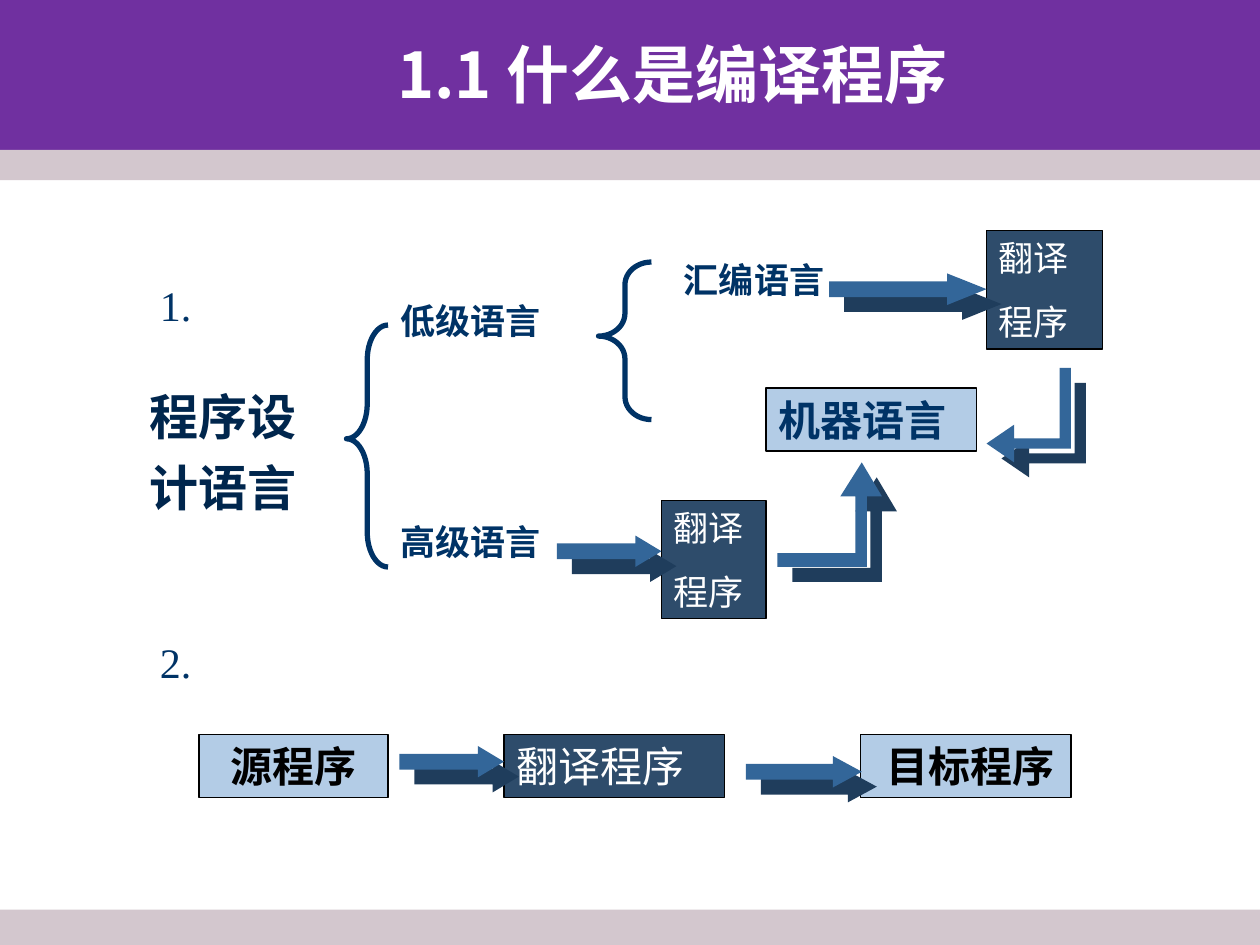
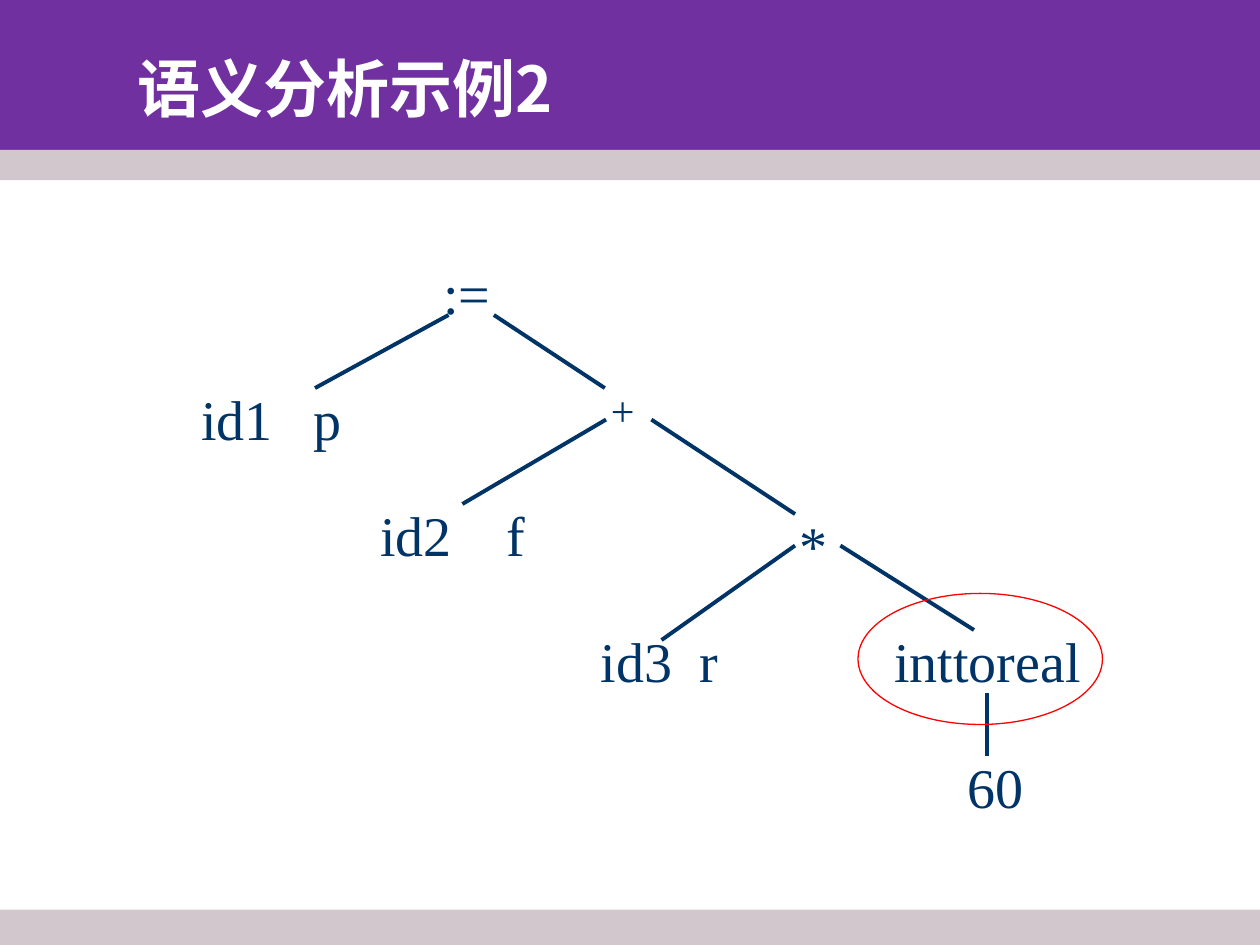
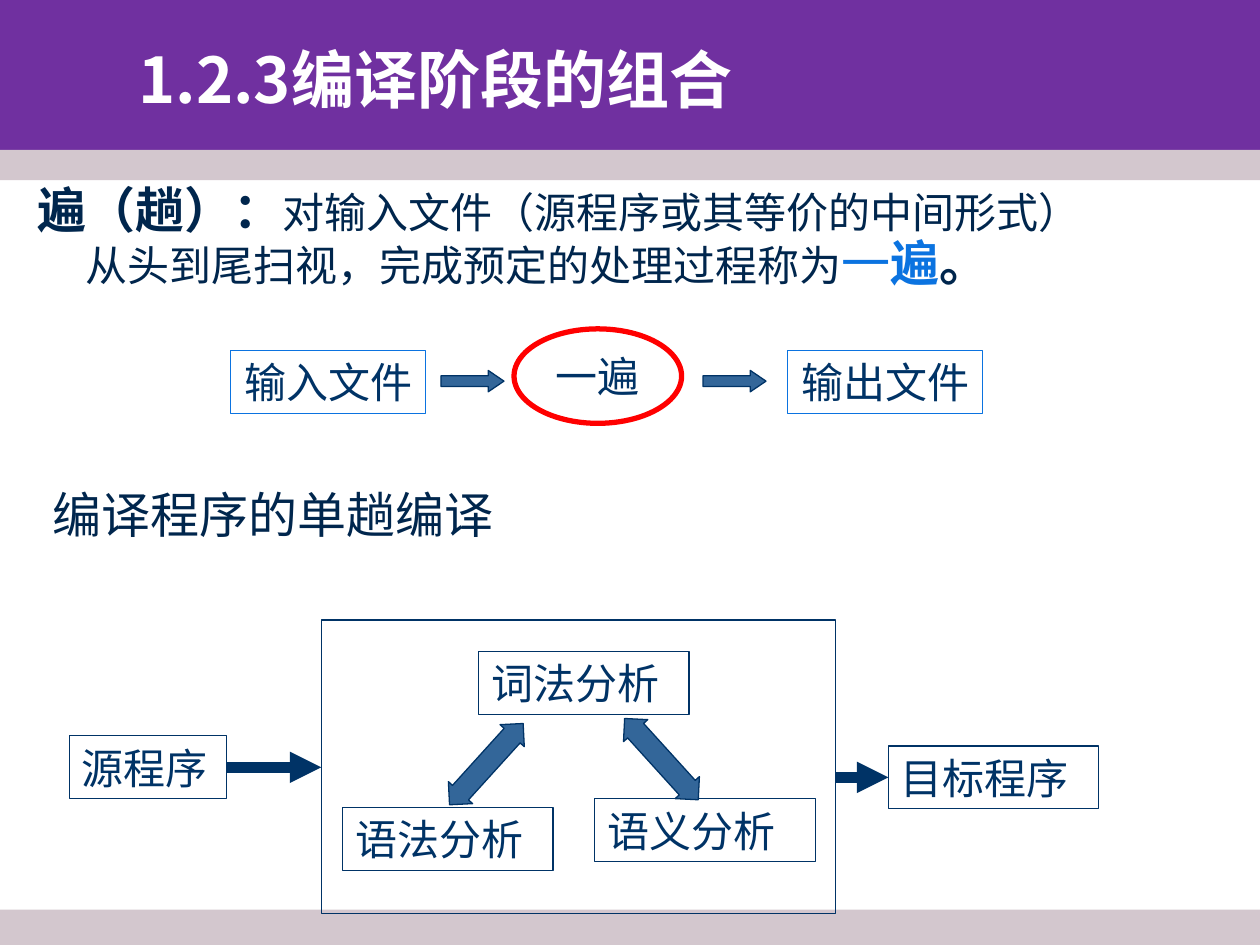
import lxml.etree
import pptx
import pptx.dml.color
import pptx.enum.shapes
import pptx.enum.text
import pptx.oxml.ns
import pptx.util

Inches = pptx.util.Inches
Pt = pptx.util.Pt
RGBColor = pptx.dml.color.RGBColor
qn = pptx.oxml.ns.qn
SHAPE = pptx.enum.shapes.MSO_SHAPE
ALIGN = pptx.enum.text.PP_ALIGN
ANCHOR = pptx.enum.text.MSO_ANCHOR

PURPLE = RGBColor(0x70, 0x30, 0xA0)
MAUVE = RGBColor(0xD3, 0xC7, 0xCE)
WHITE = RGBColor(0xFF, 0xFF, 0xFF)
BLACK = RGBColor(0x00, 0x00, 0x00)
NAVY = RGBColor(0x00, 0x33, 0x66)
DARK_NAVY = RGBColor(0x00, 0x26, 0x4D)
SLATE = RGBColor(0x2E, 0x4C, 0x6B)
PALE_BLUE = RGBColor(0xB3, 0xCC, 0xE6)
ARROW_BLUE = RGBColor(0x33, 0x66, 0x99)
ARROW_SHADOW = RGBColor(0x1F, 0x3D, 0x5C)
BRIGHT_BLUE = RGBColor(0x0B, 0x73, 0xE0)
RED = RGBColor(0xFF, 0x00, 0x00)

SERIF = "Times New Roman"
SANS = "Arial"
CHINESE = "Noto Sans CJK SC"

TITLE_LAYOUT = 5
BODY_LAYOUT = 1


# Text
def style_run(run, size, color, font, bold=False):
    run.font.size = Pt(size)
    run.font.bold = bold
    run.font.color.rgb = color
    run.font.name = font
    properties = run._r.get_or_add_rPr()
    lxml.etree.SubElement(properties, qn("a:ea"), typeface=CHINESE)


def write_lines(text_frame, text, size, color, font=SERIF, bold=False,
                align=ALIGN.LEFT, anchor=ANCHOR.TOP, space_before=None):
    """Write one paragraph a line; the space before grows with the text size."""
    text_frame.text = text
    text_frame.word_wrap = True
    text_frame.auto_size = pptx.enum.text.MSO_AUTO_SIZE.NONE
    text_frame.vertical_anchor = anchor
    if space_before is None:
        space_before = size * 0.625
    for paragraph in text_frame.paragraphs:
        paragraph.alignment = align
        paragraph.space_before = Pt(space_before)
        for run in paragraph.runs:
            style_run(run, size, color, font, bold)


def place(shape, left, top, width, height):
    shape.left, shape.top = Inches(left), Inches(top)
    shape.width, shape.height = Inches(width), Inches(height)


def add_label(slide, text, left, top, width, height, size,
              tab_stop=None, **style):
    box = slide.shapes.add_textbox(
        Inches(left), Inches(top), Inches(width), Inches(height))
    write_lines(box.text_frame, text, size, style.pop("color", NAVY), **style)
    if tab_stop:
        properties = box.text_frame.paragraphs[0]._p.get_or_add_pPr()
        tabs = lxml.etree.SubElement(properties, qn("a:tabLst"))
        lxml.etree.SubElement(
            tabs, qn("a:tab"), pos=str(Inches(tab_stop)), algn="l")


def add_title(slide, text, left, top, align=ALIGN.LEFT):
    title = slide.shapes.title
    place(title, left, top, 8.93, 0.83)
    write_lines(title.text_frame, text, 36, WHITE, CHINESE, True,
                align, ANCHOR.MIDDLE, 0)


def hang_body_paragraph(paragraph):
    properties = paragraph._p.get_or_add_pPr()
    properties.set("marL", str(Inches(0.38)))
    properties.set("indent", str(Inches(-0.38)))
    lxml.etree.SubElement(properties, qn("a:buNone"))


# Shapes
def paint(shape, fill=None, line=None, line_width=0.75):
    shape.shadow.inherit = False
    if fill is None:
        shape.fill.background()
    else:
        shape.fill.solid()
        shape.fill.fore_color.rgb = fill
    if line is None:
        shape.line.fill.background()
    else:
        shape.line.color.rgb = line
        shape.line.width = Pt(line_width)


def add_figure(slide, kind, left, top, width, height, **look):
    shape = slide.shapes.add_shape(
        kind, Inches(left), Inches(top), Inches(width), Inches(height))
    paint(shape, **look)
    return shape


def add_box(slide, text, left, top, width, height=0.5, fill=None, line=BLACK,
            size=24, color=NAVY, **style):
    box = add_figure(slide, SHAPE.RECTANGLE, left, top, width, height,
                     fill=fill, line=line)
    write_lines(box.text_frame, text, size, color, **style)


def add_translator(slide, left, top, width):
    add_box(slide, "翻译\n程序", left, top, width, 0.94, SLATE,
            size=20, color=WHITE)


def add_brace(slide, left, top, width, height, curl):
    brace = add_figure(slide, SHAPE.LEFT_BRACE, left, top, width, height,
                       line=NAVY, line_width=3)
    brace.adjustments[0] = curl
    brace.adjustments[1] = 0.47


def drop_shadow(shape):
    effects = shape.element.spPr.find(qn("a:effectLst"))
    shadow = lxml.etree.SubElement(
        effects, qn("a:outerShdw"), blurRad="0", dist=str(Pt(12.1)),
        dir="2700000", algn="ctr", rotWithShape="0")
    lxml.etree.SubElement(shadow, qn("a:srgbClr"), val=str(ARROW_SHADOW))


def add_right_arrow(slide, left, top, width, height=0.25, line=None):
    """The head takes a quarter of the arrow's length."""
    arrow = add_figure(slide, SHAPE.RIGHT_ARROW, left, top, width, height,
                       fill=ARROW_BLUE, line=line)
    arrow.adjustments[1] = width / height / 4
    return arrow


def add_bent_arrow(slide, points):
    corners = [(Inches(x), Inches(y)) for x, y in points]
    builder = slide.shapes.build_freeform(*corners[0])
    builder.add_line_segments(corners[1:], close=True)
    arrow = builder.convert_to_shape()
    paint(arrow, fill=ARROW_BLUE)
    drop_shadow(arrow)


def add_double_arrow(slide, left, top, rotation):
    arrow = add_figure(slide, SHAPE.UP_DOWN_ARROW, left, top, 0.26, 0.87,
                       fill=ARROW_BLUE, line=NAVY)
    arrow.adjustments[1] = 0.66
    arrow.rotation = rotation


def add_line(slide, start, end, width, arrowhead=False):
    line = slide.shapes.add_connector(
        pptx.enum.shapes.MSO_CONNECTOR.STRAIGHT,
        *(Inches(length) for length in (*start, *end)))
    line.line.color.rgb = NAVY
    line.line.width = Pt(width)
    if arrowhead:
        lxml.etree.SubElement(
            line.line._get_or_add_ln(), qn("a:tailEnd"), type="triangle")
    lxml.etree.SubElement(line.element.spPr, qn("a:effectLst"))


# Shared background
def add_master_bands(presentation, slide):
    """Draw the bands on a slide, then move them behind the master's parts."""
    master_tree = presentation.slide_master.shapes.element
    bands = [(0, 1.31, PURPLE), (1.19, 0.24, MAUVE), (7.22, 0.28, MAUVE)]
    for index, (top, height, color) in enumerate(bands):
        band = add_figure(slide, SHAPE.RECTANGLE, 0, top, 10, height,
                          fill=color)
        band.element.nvSpPr.cNvPr.set("id", str(100 + index))
        master_tree.insert(2 + index, band.element)


# Slides
def build_translator_slide(slide):
    add_title(slide, "1.1 什么是编译程序", 0.87, 0.17, ALIGN.CENTER)
    body = slide.placeholders[1]
    place(body, 1.09, 3.02, 1.65, 1.19)
    write_lines(body.text_frame, "程序设\n计语言", 28, DARK_NAVY, SANS, True,
                space_before=7)
    for paragraph in body.text_frame.paragraphs:
        hang_body_paragraph(paragraph)

    # Language tree
    add_brace(slide, 2.75, 2.58, 0.33, 1.92, 0.84)
    add_brace(slide, 4.75, 2.08, 0.42, 1.25, 0.43)
    for text, left, top in [("低级语言", 3.08, 2.33), ("高级语言", 3.08, 4.08),
                            ("汇编语言", 5.33, 2)]:
        add_label(slide, text, left, top, 1.67, 0.44, 20, bold=True)
    add_box(slide, "机器语言", 6.08, 3.08, 1.67, fill=PALE_BLUE, bold=True)
    add_translator(slide, 5.25, 3.97, 0.83)
    add_translator(slide, 7.83, 1.83, 0.92)
    add_bent_arrow(slide, [
        (6.84, 3.67), (6.67, 3.94), (6.79, 3.94), (6.79, 4.39), (6.17, 4.39),
        (6.17, 4.5), (6.88, 4.5), (6.88, 3.94), (7, 3.94)])
    add_bent_arrow(slide, [
        (7.83, 3.52), (8.05, 3.37), (8.05, 3.48), (8.41, 3.48), (8.41, 2.92),
        (8.5, 2.92), (8.5, 3.56), (8.05, 3.56), (8.05, 3.67)])

    # Translation chain
    for text, top in [("1.", 2.17), ("2.", 5)]:
        add_label(slide, text, 1.17, top, 0.58, 0.5, 24)
    for text, left, width in [("源程序", 1.58, 1.5), (" 目标程序", 6.83, 1.67)]:
        add_box(slide, text, left, 5.83, width, fill=PALE_BLUE, color=BLACK,
                bold=True, align=ALIGN.CENTER)
    add_box(slide, "翻译程序", 4, 5.83, 1.75, fill=SLATE, color=WHITE)

    for left, top, width in [(4.42, 4.25, 0.83), (6.58, 2.17, 1.25),
                             (3.17, 5.92, 0.83), (5.92, 6, 0.92)]:
        drop_shadow(add_right_arrow(slide, left, top, width))


def build_syntax_tree_slide(slide):
    add_title(slide, "语义分析示例2", 0.99, 0.28)

    # Nodes: text, left, top, width, tab stop
    nodes = [
        (":=", 3.42, 2, 0.71, None),
        ("*", 6.25, 4, 0.71, None),
        ("id1\tp", 1.5, 3, 1.76, 0.89),
        ("id2\tf", 2.92, 3.92, 1.56, 1),
        ("id3\tr", 4.67, 4.92, 1.15, 0.78),
        ("inttoreal", 7, 4.92, 1.75, None),
        ("60", 7.58, 5.92, 0.67, None),
    ]
    for text, left, top, width, tab_stop in nodes:
        add_label(slide, text, left, top, width, 0.64, 32, tab_stop)
    add_label(slide, "+", 4.75, 3, 0.71, 0.5, 24)

    # Branches
    branches = [
        ((2.5, 3.08), (3.56, 2.5)), ((3.92, 2.5), (4.8, 3.08)),
        ((4.81, 3.33), (3.67, 4)), ((5.17, 3.33), (6.31, 4.08)),
        ((6.67, 4.33), (7.73, 5)), ((6.31, 4.33), (5.25, 5.08)),
        ((7.83, 5.5), (7.83, 6)),
    ]
    for start, end in branches:
        add_line(slide, start, end, 2.25)
    add_figure(slide, SHAPE.OVAL, 6.81, 4.71, 1.94, 1.04, line=RED)


def build_pass_slide(slide):
    add_title(slide, "1.2.3编译阶段的组合", 1, 0.21)

    # Definition
    body = slide.placeholders[1]
    place(body, 0.2, 1.43, 8.66, 2.44)
    write_lines(body.text_frame, "遍（趟）：", 28, DARK_NAVY, SANS, True,
                space_before=7)
    definition = body.text_frame.paragraphs[0]
    definition.line_spacing = 0.9
    hang_body_paragraph(definition)
    for text, size, color, font, bold in [
        ("对输入文件（源程序或其等价的中间形式）从头到尾扫视，完成预定的处理过程称为",
         24, DARK_NAVY, CHINESE, False),
        ("一", 28, BRIGHT_BLUE, SANS, False),
        ("遍", 28, BRIGHT_BLUE, SANS, True),
        ("。", 28, DARK_NAVY, SANS, True),
    ]:
        run = definition.add_run()
        run.text = text
        style_run(run, size, color, font, bold)

    # One pass from input to output
    for text, left in [("输入文件", 1.83), ("输出文件", 6.25)]:
        add_box(slide, text, left, 2.78, 1.55, line=BRIGHT_BLUE,
                align=ALIGN.CENTER, anchor=ANCHOR.MIDDLE)
    for left in (3.5, 5.58):
        add_right_arrow(slide, left, 2.94, 0.5, 0.17, line=NAVY)
    one_pass = add_figure(slide, SHAPE.OVAL, 4.08, 2.61, 1.33, 0.75,
                          line=RED, line_width=3)
    write_lines(one_pass.text_frame, "一遍", 24, NAVY, "DejaVu Sans",
                align=ALIGN.CENTER, anchor=ANCHOR.MIDDLE, space_before=0)
    one_pass.text_frame.word_wrap = False

    # Single-pass compiler
    add_label(slide, "编译程序的单趟编译", 0.32, 3.63, 8.93, 0.9, 28,
              color=DARK_NAVY, font=SANS, anchor=ANCHOR.MIDDLE, space_before=0)
    add_figure(slide, SHAPE.RECTANGLE, 2.55, 4.92, 4.08, 2.33, line=NAVY)
    for text, left, top, width in [
        ("源程序", 0.55, 5.84, 1.25),
        ("词法分析", 3.8, 5.17, 1.67),
        ("语法分析", 2.72, 6.41, 1.67),
        ("语义分析", 4.72, 6.34, 1.75),
        ("目标程序", 7.05, 5.92, 1.67),
    ]:
        add_box(slide, text, left, top, width, line=NAVY)
    add_double_arrow(slide, 3.73, 5.63, 42.2)
    add_double_arrow(slide, 5.12, 5.59, -42.2)
    add_line(slide, (1.8, 6.09), (2.55, 6.09), 6, arrowhead=True)
    add_line(slide, (6.63, 6.17), (7.05, 6.17), 6, arrowhead=True)


def main():
    presentation = pptx.Presentation()
    presentation.slide_width = Inches(10)
    presentation.slide_height = Inches(7.5)
    for layout, build in [(BODY_LAYOUT, build_translator_slide),
                          (TITLE_LAYOUT, build_syntax_tree_slide),
                          (BODY_LAYOUT, build_pass_slide)]:
        slide = presentation.slides.add_slide(
            presentation.slide_layouts[layout])
        build(slide)
    add_master_bands(presentation, presentation.slides[0])
    presentation.save("out.pptx")


if __name__ == "__main__":
    main()
